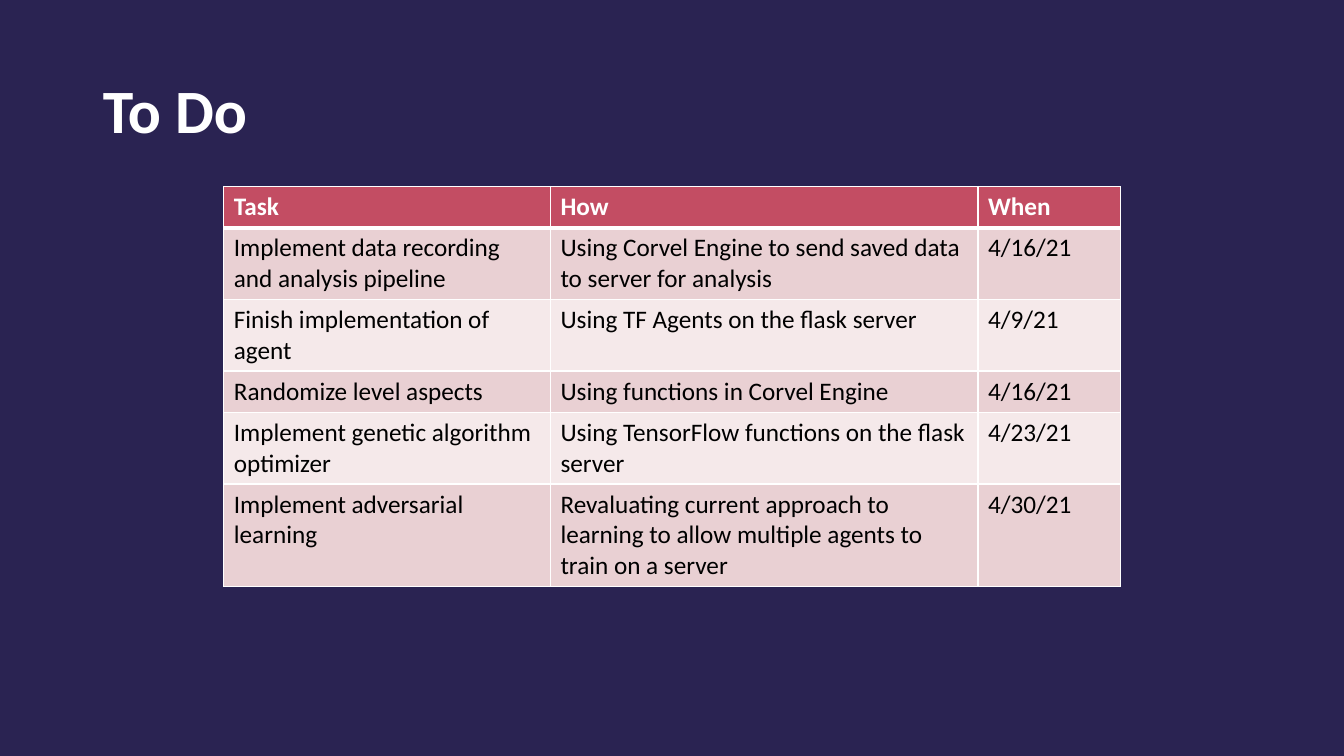
from dataclasses import dataclass

from lxml.etree import SubElement
from pptx import Presentation
from pptx.dml.color import RGBColor
from pptx.enum.text import MSO_ANCHOR, PP_ALIGN
from pptx.oxml.ns import qn
from pptx.util import Inches, Pt

TITLE = "To Do"
HEADINGS = ("Task", "How", "When")
TASKS = [
    ("Implement data recording and analysis pipeline",
     "Using Corvel Engine to send saved data to server for analysis", "4/16/21"),
    ("Finish implementation of agent",
     "Using TF Agents on the flask server", "4/9/21"),
    ("Randomize level aspects",
     "Using functions in Corvel Engine", "4/16/21"),
    ("Implement genetic algorithm optimizer",
     "Using TensorFlow functions on the flask server", "4/23/21"),
    ("Implement adversarial learning",
     "Revaluating current approach to learning to allow multiple agents to train on a server",
     "4/30/21"),
]
COLUMN_WIDTHS = (3.24, 4.24, 1.41)
ROW_HEIGHT = 0.41
TABLE_TOP = 1.85
TABLE_HEIGHT = 3.91
SLIDE_WIDTH = 13.33


@dataclass(frozen=True)
class Theme:
    font: str = "Calibri"
    background: str = "2A2352"
    light: str = "FFFFFF"
    dark: str = "000000"
    header: str = "C34D63"
    bands: tuple = ("E9D0D3", "F5E9EA")
    title_size: int = 44
    table_size: int = 18
    border: int = 1
    header_rule: int = 3


THEME = Theme()


def style_font(font, size, color, bold):
    font.name = THEME.font
    font.size = Pt(size)
    font.bold = bold
    font.color.rgb = RGBColor.from_string(color)


def add_borders(cell, top, bottom):
    properties = cell._tc.get_or_add_tcPr()
    widths = {"a:lnL": THEME.border, "a:lnR": THEME.border, "a:lnT": top, "a:lnB": bottom}
    for position, (tag, width) in enumerate(widths.items()):
        line = SubElement(properties, qn(tag), w=str(Pt(width)))
        fill = SubElement(line, qn("a:solidFill"))
        SubElement(fill, qn("a:srgbClr"), val=THEME.light)
        properties.insert(position, line)


def add_title(page):
    title = page.shapes.title
    title.left, title.top = Inches(0.92), Inches(0.4)
    title.width, title.height = Inches(11.5), Inches(1.45)
    title.text_frame.text = TITLE
    title.text_frame.vertical_anchor = MSO_ANCHOR.MIDDLE
    para = title.text_frame.paragraphs[0]
    para.alignment = PP_ALIGN.LEFT
    para.line_spacing = 0.9
    style_font(para.font, THEME.title_size, THEME.light, True)


def fill_cell(cell, text, row_index):
    is_header = row_index == 0
    cell.text = text
    cell.fill.solid()
    color = THEME.header if is_header else THEME.bands[(row_index - 1) % 2]
    cell.fill.fore_color.rgb = RGBColor.from_string(color)
    style_font(cell.text_frame.paragraphs[0].font, THEME.table_size,
               THEME.light if is_header else THEME.dark, is_header)
    add_borders(cell,
                top=THEME.header_rule if row_index == 1 else THEME.border,
                bottom=THEME.header_rule if is_header else THEME.border)


def add_task_table(page):
    rows = [HEADINGS, *TASKS]
    width = sum(COLUMN_WIDTHS)
    frame = page.shapes.add_table(
        len(rows), len(HEADINGS), Inches((SLIDE_WIDTH - width) / 2), Inches(TABLE_TOP),
        Inches(width), Inches(TABLE_HEIGHT))
    table = frame.table
    for column, column_width in zip(table.columns, COLUMN_WIDTHS):
        column.width = Inches(column_width)
    for row_index, (row, texts) in enumerate(zip(table.rows, rows)):
        row.height = Inches(ROW_HEIGHT)
        for cell, text in zip(row.cells, texts):
            fill_cell(cell, text, row_index)
    frame.height = Inches(TABLE_HEIGHT)


def main():
    deck = Presentation()
    deck.slide_width, deck.slide_height = Inches(SLIDE_WIDTH), Inches(7.5)
    page = deck.slides.add_slide(deck.slide_layouts[5])
    page.background.fill.solid()
    page.background.fill.fore_color.rgb = RGBColor.from_string(THEME.background)
    add_title(page)
    add_task_table(page)
    deck.save("out.pptx")


if __name__ == "__main__":
    main()
